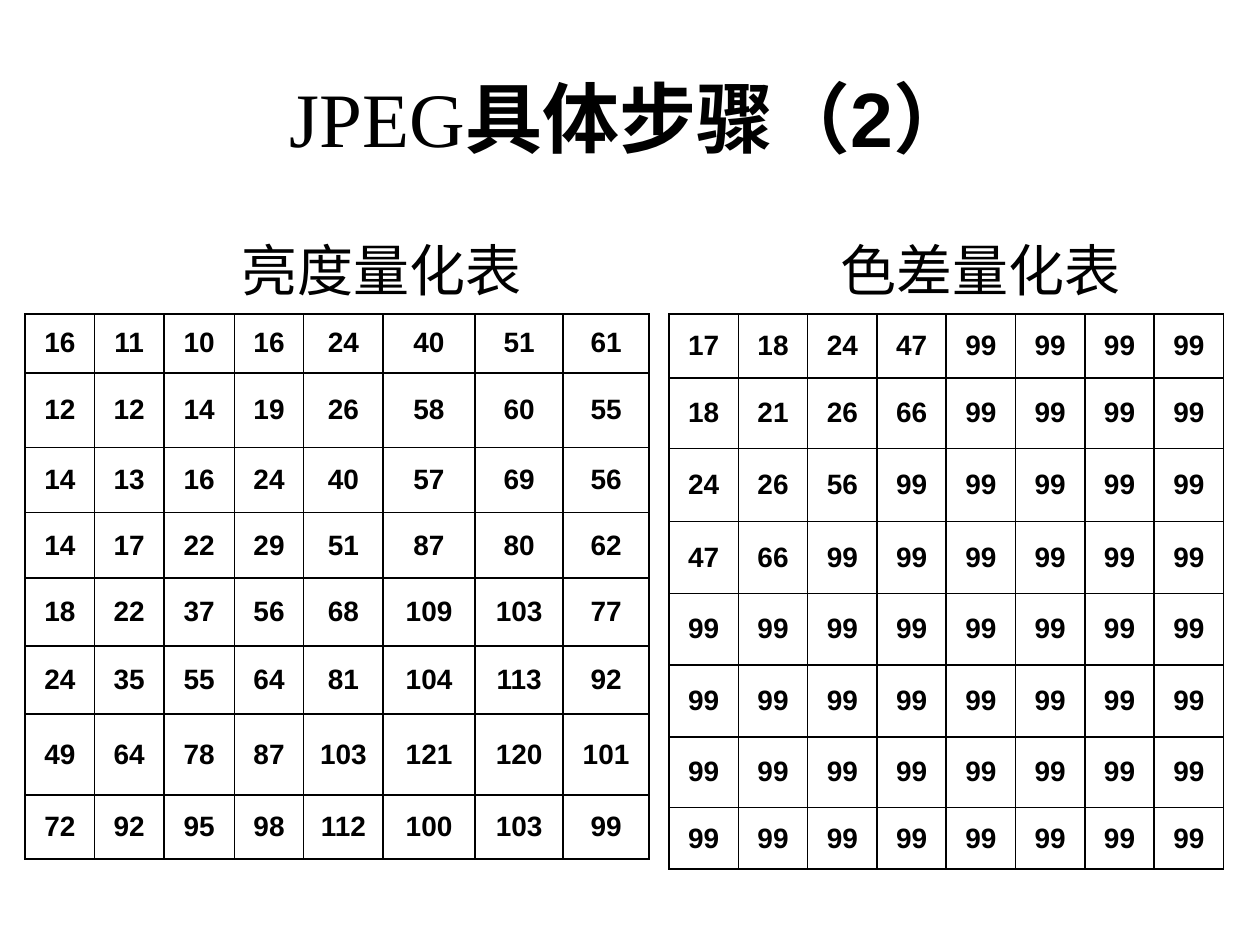
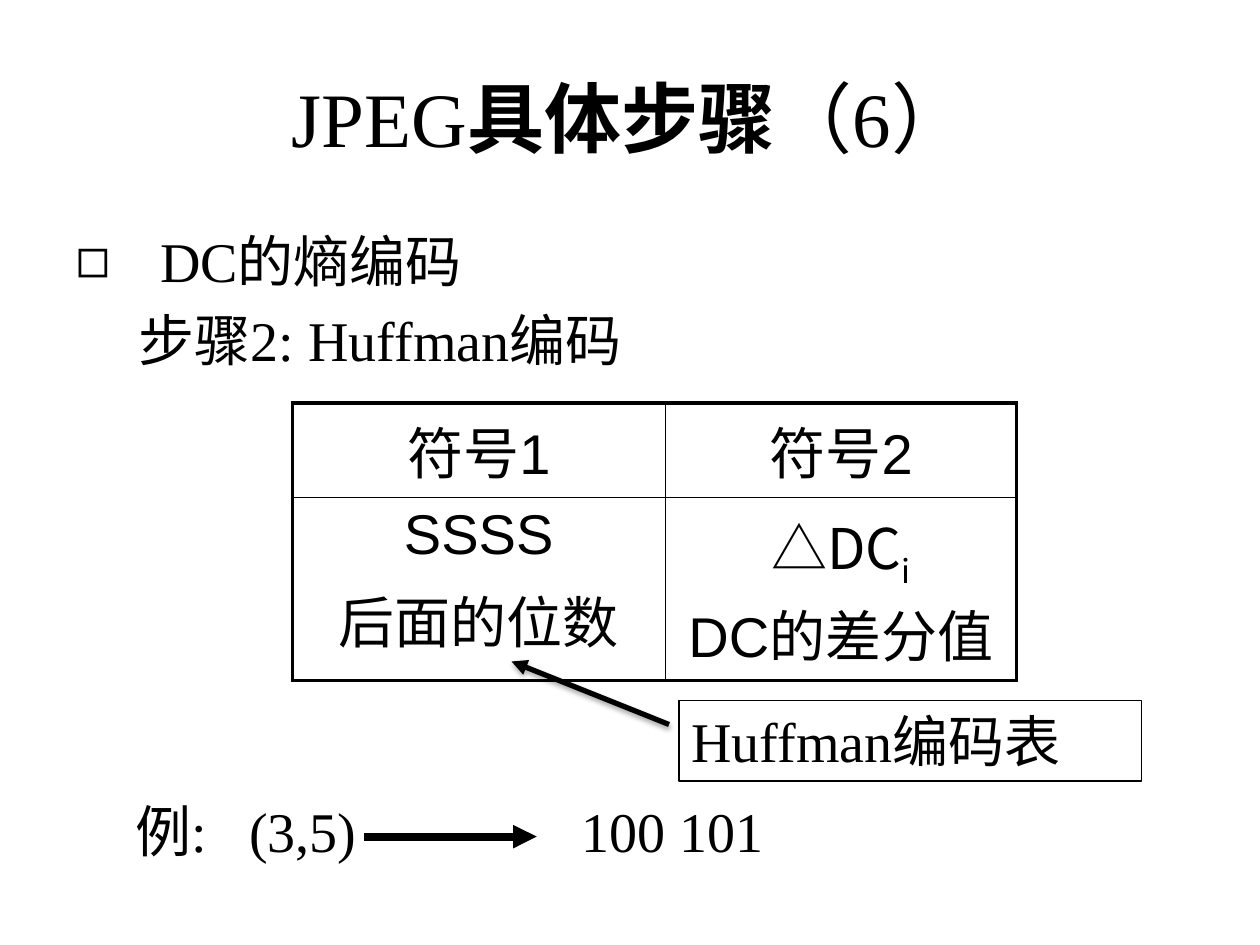
from lxml.etree import SubElement
from pptx import Presentation
from pptx.dml.color import RGBColor
from pptx.enum.shapes import MSO_CONNECTOR, MSO_SHAPE
from pptx.enum.text import MSO_ANCHOR as ANCHOR, MSO_AUTO_SIZE as AUTO, PP_ALIGN as ALIGN
from pptx.oxml.ns import qn
from pptx.util import Emu, Pt

PX = 9144  # 100 px to the inch
BLACK = RGBColor(0, 0, 0)
WHITE = RGBColor(255, 255, 255)
SERIF, SANS, CJK = "Times New Roman", "Arial", "Noto Sans CJK SC"
TITLE_BOX = (50, 30, 900, 125)
TITLE_ONLY, TITLE_AND_BODY = 5, 1
NO_GAP, GAP = Pt(0), Pt(6.4)  # a fifth of the 32 pt text size

LUMA = [
    [16, 11, 10, 16, 24, 40, 51, 61],
    [12, 12, 14, 19, 26, 58, 60, 55],
    [14, 13, 16, 24, 40, 57, 69, 56],
    [14, 17, 22, 29, 51, 87, 80, 62],
    [18, 22, 37, 56, 68, 109, 103, 77],
    [24, 35, 55, 64, 81, 104, 113, 92],
    [49, 64, 78, 87, 103, 121, 120, 101],
    [72, 92, 95, 98, 112, 100, 103, 99],
]
CHROMA_CORNER = [[17, 18, 24, 47], [18, 21, 26, 66], [24, 26, 56, 99], [47, 66, 99, 99]]
CHROMA = [row + [99] * 4 for row in CHROMA_CORNER] + [[99] * 8] * 4


def px(*values):
    return [Emu(v * PX) for v in values]


def add_xml(parent, tag, **attrs):
    return SubElement(parent, qn(tag), {k: str(v) for k, v in attrs.items()})


class Deck:
    def __init__(self):
        self.prs = Presentation()
        self.prs.slide_width, self.prs.slide_height = px(1000, 750)

    def new_slide(self, layout, *title_runs):
        self.slide = self.prs.slides.add_slide(self.prs.slide_layouts[layout])
        self.slide.background.fill.solid()
        self.slide.background.fill.fore_color.rgb = WHITE
        title = self.slide.shapes.title
        self.place(title, TITLE_BOX)
        title.text_frame.vertical_anchor = ANCHOR.MIDDLE
        self.set_text(title.text_frame, [title_runs], dict(size=Pt(44), name=SERIF),
                      alignment=ALIGN.CENTER)

    def place(self, sp, box):
        sp.left, sp.top, sp.width, sp.height = px(*box)

    def set_text(self, tf, paragraphs, font, **para_format):
        """Fill tf with paragraphs, each a list of (text, font changes) runs."""
        for i, runs in enumerate(paragraphs):
            p = tf.paragraphs[0] if i == 0 else tf.add_paragraph()
            for key, value in para_format.items():
                setattr(p, key, value)
            if i == 0:
                p.space_before = NO_GAP
            for text, changes in runs:
                self.add_run(p, text, {**font, **changes})

    def add_run(self, p, text, font):
        r = p.add_run()
        r.text = text
        r.font.color.rgb = BLACK
        baseline = font.pop("baseline", None)
        for key, value in font.items():
            setattr(r.font, key, value)
        props = r._r.get_or_add_rPr()
        add_xml(props, "a:ea", typeface=CJK)
        if baseline:
            props.set("baseline", str(baseline))

    def body(self, box, items):
        """Fill the body with (text, level, margin, indent, bullet) items."""
        sp = self.slide.placeholders[1]
        self.place(sp, box)
        tf = sp.text_frame
        self.set_text(tf, [[(item[0], {})] for item in items],
                      dict(size=Pt(32), name=SERIF), space_before=GAP)
        for p, (_, level, margin, indent, bullet) in zip(tf.paragraphs, items):
            p.level = level
            props = p._p.get_or_add_pPr()
            props.set("marL", str(margin * PX))
            props.set("indent", str(indent * PX))
            if bullet:
                add_xml(props, "a:buChar", char=bullet)
            else:
                add_xml(props, "a:buNone")

    def label(self, box, text, name, wrap=True, tabs=()):
        sp = self.slide.shapes.add_textbox(*px(*box))
        tf = sp.text_frame
        tf.word_wrap, tf.auto_size = wrap, AUTO.SHAPE_TO_FIT_TEXT
        if tabs:
            tab_list = add_xml(tf.paragraphs[0]._p.get_or_add_pPr(), "a:tabLst")
            for pos in tabs:
                add_xml(tab_list, "a:tab", pos=pos * PX, algn="l")
        self.set_text(tf, [[(text, {})]], dict(size=Pt(32), name=name))

    def framed(self, box, text):
        sp = self.slide.shapes.add_shape(MSO_SHAPE.RECTANGLE, *px(*box))
        sp.shadow.inherit = False
        sp.fill.background()
        sp.line.color.rgb, sp.line.width = BLACK, Pt(0.75)
        tf = sp.text_frame
        tf.word_wrap, tf.auto_size = True, AUTO.SHAPE_TO_FIT_TEXT
        tf.vertical_anchor = ANCHOR.TOP
        self.set_text(tf, [[(text, {})]], dict(size=Pt(32), name=SERIF), alignment=ALIGN.LEFT)

    def arrow(self, start, end, width, shadow=False):
        line = self.slide.shapes.add_connector(MSO_CONNECTOR.STRAIGHT, *px(*start, *end))
        line.line.color.rgb, line.line.width = BLACK, Pt(width)
        props = line._element.spPr
        add_xml(props.find(qn("a:ln")), "a:tailEnd", type="triangle")
        effects = add_xml(props, "a:effectLst")
        if shadow:
            outer = add_xml(effects, "a:outerShdw", blurRad=Pt(3.1), dist=Pt(1.8),
                            dir=5400000, rotWithShape=0)
            add_xml(add_xml(outer, "a:srgbClr", val=BLACK), "a:alpha", val=35000)

    def table(self, at, cols, rows, cells, font, gaps, outer=1, anchor=ANCHOR.TOP):
        """Draw cells, each a list of paragraphs; gaps holds a paragraph gap per column."""
        box = px(*at, sum(cols), sum(rows))
        table = self.slide.shapes.add_table(len(rows), len(cols), *box).table
        table.first_row = table.horz_banding = False
        for col, width in zip(table.columns, cols):
            col.width = Emu(width * PX)
        for row, height in zip(table.rows, rows):
            row.height = Emu(height * PX)
        for y, row in enumerate(cells):
            for x, paragraphs in enumerate(row):
                cell = table.cell(y, x)
                edges = dict(L=x == 0, R=x == len(cols) - 1, T=y == 0, B=y == len(rows) - 1)
                self.borders(cell, edges, outer)
                cell.fill.background()
                cell.vertical_anchor = anchor
                self.set_text(cell.text_frame, paragraphs, font,
                              alignment=ALIGN.CENTER, space_before=gaps[x])

    def borders(self, cell, edges, outer):
        props = cell._tc.get_or_add_tcPr()
        for side, is_outer in edges.items():
            ln = add_xml(props, f"a:ln{side}", w=Pt(outer if is_outer else 1))
            add_xml(add_xml(ln, "a:solidFill"), "a:srgbClr", val=BLACK)

    def number_table(self, at, cols, rows, numbers):
        cells = [[[[(str(n), {})]] for n in row] for row in numbers]
        self.table(at, cols, rows, cells, dict(size=Pt(16), name=SANS, bold=True),
                   [NO_GAP] * len(cols), anchor=ANCHOR.MIDDLE)


def quantization_slide(deck):
    deck.new_slide(TITLE_ONLY, ("JPEG", {}), ("具体步骤（2）", dict(name=SANS, bold=True)))
    deck.number_table((20, 249), [55, 55, 56, 55, 63, 73, 70, 68],
                      [47, 59, 52, 52, 54, 54, 64, 51], LUMA)
    deck.number_table((531, 249), [55] * 8, [51, 56, 58, 57, 57, 57, 56, 49], CHROMA)
    for left, text in ((182, "亮度量化表"), (657, "色差量化表")):
        deck.label((left, 182, 245, 64), text, SANS, wrap=False)


def huffman_slide(deck):
    deck.new_slide(TITLE_AND_BODY, ("JPEG", {}), ("具体步骤", dict(bold=True)), ("（6）", {}))
    deck.body((50, 175, 900, 495), [
        ("DC的熵编码", 0, 67, -67, "◻"),
        ("步骤2: Huffman编码", 1, 108, -58, None),
    ])
    difference = [("△DC", dict(name=CJK)), ("i", dict(name=CJK, baseline=-25000))]
    cells = [
        [[[("符号1", {})]], [[("符号2", {})]]],
        [[[("SSSS", {})], [("后面的位数", {})]], [difference, [("DC的差分值", {})]]],
    ]
    deck.table((232, 320), [296, 279], [75, 145], cells,
               dict(size=Pt(32), name=SANS), [GAP, NO_GAP], outer=2.25)
    deck.framed((539, 556, 367, 64), "Huffman编码表")
    deck.arrow((531, 575), (406, 525), 3, shadow=True)
    deck.label((98, 627, 651, 64), "例:\t(3,5)\t100 101", SERIF, tabs=(90, 354))
    deck.arrow((289, 664), (426, 664), 4.5)


def main():
    deck = Deck()
    quantization_slide(deck)
    huffman_slide(deck)
    deck.prs.save("out.pptx")


if __name__ == "__main__":
    main()
